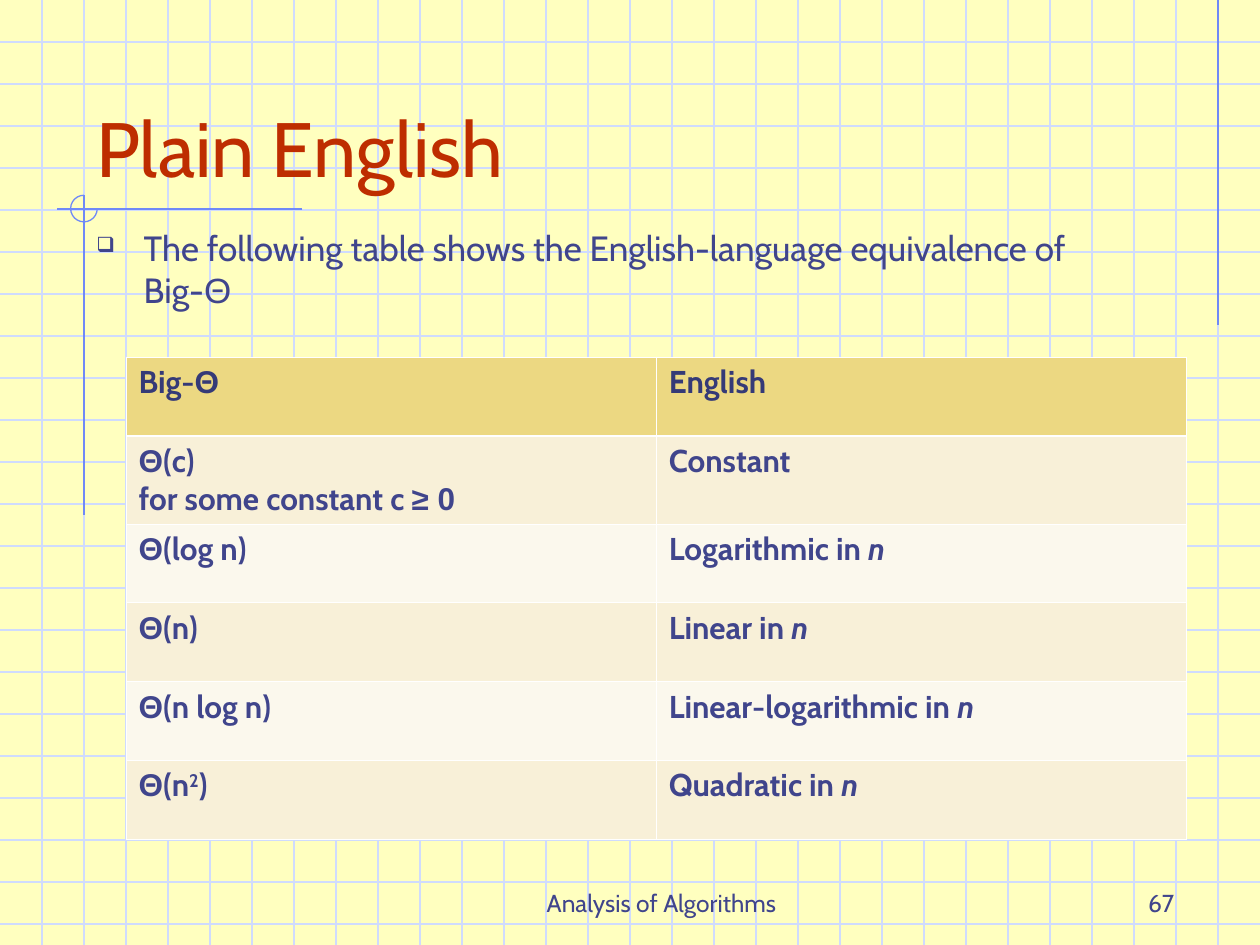
from dataclasses import dataclass, field
from typing import Any

from lxml.etree import SubElement
from pptx import Presentation
from pptx.dml.color import RGBColor
from pptx.enum.shapes import MSO_CONNECTOR, MSO_SHAPE
from pptx.enum.text import MSO_ANCHOR, PP_ALIGN
from pptx.oxml.ns import qn
from pptx.util import Pt

WIDTH, HEIGHT, GRID_STEP = 720, 540, 24
PAPER, GRID, ACCENT = "FFFFBF", "CFDBFD", "6F89F7"
INK, HEADER_INK, TITLE_INK, WHITE = "40458C", "353A77", "BE2D00", "FFFFFF"
HEADER_FILL, BAND_FILLS = "ECD882", ("F8F0D8", "FBF8ED")


@dataclass
class Line:
    start: tuple[float, float]
    end: tuple[float, float]
    color: str


@dataclass
class Piece:
    text: str
    font: str = "Cabin"
    style: dict[str, Any] = field(default_factory=dict)
    baseline: int = 0


@dataclass
class Label:
    box: tuple[float, float, float, float]
    pieces: list[Piece]
    size: float
    color: str = INK
    anchor: Any = MSO_ANCHOR.BOTTOM
    alignment: Any = PP_ALIGN.LEFT
    bullet: str = ""


THETA = Piece("Θ", "Arial")
N = Piece("n", style={"italic": True})

LABELS = [
    Label((264, 492, 228, 36), [Piece("Analysis of Algorithms")], 14, alignment=PP_ALIGN.CENTER),
    Label((528, 492, 150, 36), [Piece("67")], 14, alignment=PP_ALIGN.RIGHT),
    Label((48, 24, 612, 90), [Piece("Plain English")], 44, TITLE_INK),
    Label(
        (48, 126, 600, 378),
        [Piece("The following table shows the English-language equivalence of Big-"), THETA],
        20,
        anchor=MSO_ANCHOR.TOP,
        bullet="❑",
    ),
]

ACCENT_LINES = [
    Line((696, 0), (696, 186), ACCENT),
    Line((172.8, 119.4), (32.4, 119.4), ACCENT),
    Line((48, 111.6), (48, 294.5), ACCENT),
]

TABLE_ROWS = [
    ([Piece("Big-"), THETA], [Piece("English")]),
    (
        [THETA, Piece("(c)"), Piece("\n"), Piece("for some constant c "), Piece("≥ 0", "Arial")],
        [Piece("Constant")],
    ),
    ([THETA, Piece("(log n)")], [Piece("Logarithmic in "), N]),
    ([THETA, Piece("(n)")], [Piece("Linear in "), N]),
    ([THETA, Piece("(n log n)")], [Piece("Linear-logarithmic in "), N]),
    ([THETA, Piece("(n"), Piece("2", baseline=30000), Piece(")")], [Piece("Quadratic in "), N]),
]
ROW_HEIGHTS = (45, 50, 45, 45, 45, 45)
COLUMN_WIDTH = 303


def rgb(value: str) -> RGBColor:
    return RGBColor.from_string(value)


def apply_format(target: Any, values: dict[str, Any]) -> None:
    for name, value in values.items():
        setattr(target, name, value)


def draw_line(slide: Any, line: Line) -> None:
    points = [Pt(value) for value in (*line.start, *line.end)]
    connector = slide.shapes.add_connector(MSO_CONNECTOR.STRAIGHT, *points)
    connector.line.width = Pt(0.75)
    connector.line.color.rgb = rgb(line.color)
    SubElement(connector._element.spPr, qn("a:effectLst"))


def write_pieces(paragraph: Any, pieces: list[Piece], base: dict[str, Any], color: str) -> None:
    for piece in pieces:
        if piece.text == "\n":
            paragraph.add_line_break()
            continue
        run = paragraph.add_run()
        run.text = piece.text
        apply_format(run.font, {**base, "name": piece.font, **piece.style})
        run.font.color.rgb = rgb(color)
        if piece.baseline:
            run.font._element.set("baseline", str(piece.baseline))


def add_bullet(paragraph: Any, character: str) -> None:
    properties = paragraph._p.get_or_add_pPr()
    properties.set("marL", str(Pt(27)))
    properties.set("indent", str(Pt(-27)))
    bullet_color = SubElement(properties, qn("a:buClr"))
    SubElement(bullet_color, qn("a:srgbClr"), val=INK)
    SubElement(properties, qn("a:buSzPct"), val="60000")
    SubElement(properties, qn("a:buChar"), char=character)


def draw_label(slide: Any, label: Label) -> None:
    shape = slide.shapes.add_textbox(*(Pt(value) for value in label.box))
    apply_format(shape.text_frame, {"word_wrap": True, "vertical_anchor": label.anchor})
    paragraph = shape.text_frame.paragraphs[0]
    paragraph.alignment = label.alignment
    if label.bullet:
        add_bullet(paragraph, label.bullet)
    write_pieces(paragraph, label.pieces, {"size": Pt(label.size)}, label.color)


def draw_arc(slide: Any) -> None:
    shape = slide.shapes.add_shape(MSO_SHAPE.ARC, Pt(40.4), Pt(111.6), Pt(15.2), Pt(15.2))
    shape.adjustments[0] = 0
    shape.adjustments[1] = 162
    shape.shadow.inherit = False
    shape.fill.background()
    shape.line.width = Pt(0.75)
    shape.line.color.rgb = rgb(ACCENT)


def add_borders(cell: Any, row_index: int) -> None:
    properties = cell._tc.get_or_add_tcPr()
    thick_side = {0: "lnB", 1: "lnT"}.get(row_index)
    for side in ("lnL", "lnR", "lnT", "lnB"):
        width = Pt(1.47 if side == thick_side else 0.45)
        border = SubElement(properties, qn(f"a:{side}"), w=str(width))
        fill = SubElement(border, qn("a:solidFill"))
        SubElement(fill, qn("a:srgbClr"), val=WHITE)


def draw_table(slide: Any) -> None:
    frame = slide.shapes.add_table(
        len(TABLE_ROWS), 2, Pt(72), Pt(204), Pt(2 * COLUMN_WIDTH), Pt(sum(ROW_HEIGHTS))
    )
    table = frame.table
    for column in table.columns:
        column.width = Pt(COLUMN_WIDTH)
    for row_index, row in enumerate(TABLE_ROWS):
        table.rows[row_index].height = Pt(ROW_HEIGHTS[row_index])
        is_header = row_index == 0
        fill = HEADER_FILL if is_header else BAND_FILLS[(row_index - 1) % 2]
        color = HEADER_INK if is_header else INK
        for column_index, pieces in enumerate(row):
            cell = table.cell(row_index, column_index)
            add_borders(cell, row_index)
            cell.fill.solid()
            cell.fill.fore_color.rgb = rgb(fill)
            paragraph = cell.text_frame.paragraphs[0]
            write_pieces(paragraph, pieces, {"size": Pt(18), "bold": True}, color)


def main() -> None:
    presentation = Presentation()
    apply_format(presentation, {"slide_width": Pt(WIDTH), "slide_height": Pt(HEIGHT)})
    slide = presentation.slides.add_slide(presentation.slide_layouts[6])
    slide.background.fill.solid()
    slide.background.fill.fore_color.rgb = rgb(PAPER)
    horizontals = [Line((0, y), (WIDTH, y), GRID) for y in range(GRID_STEP, HEIGHT, GRID_STEP)]
    verticals = [Line((x, 0), (x, HEIGHT), GRID) for x in range(GRID_STEP, WIDTH, GRID_STEP)]
    for line in horizontals + verticals + ACCENT_LINES:
        draw_line(slide, line)
    draw_arc(slide)
    for label in LABELS:
        draw_label(slide, label)
    draw_table(slide)
    presentation.save("out.pptx")


if __name__ == "__main__":
    main()
